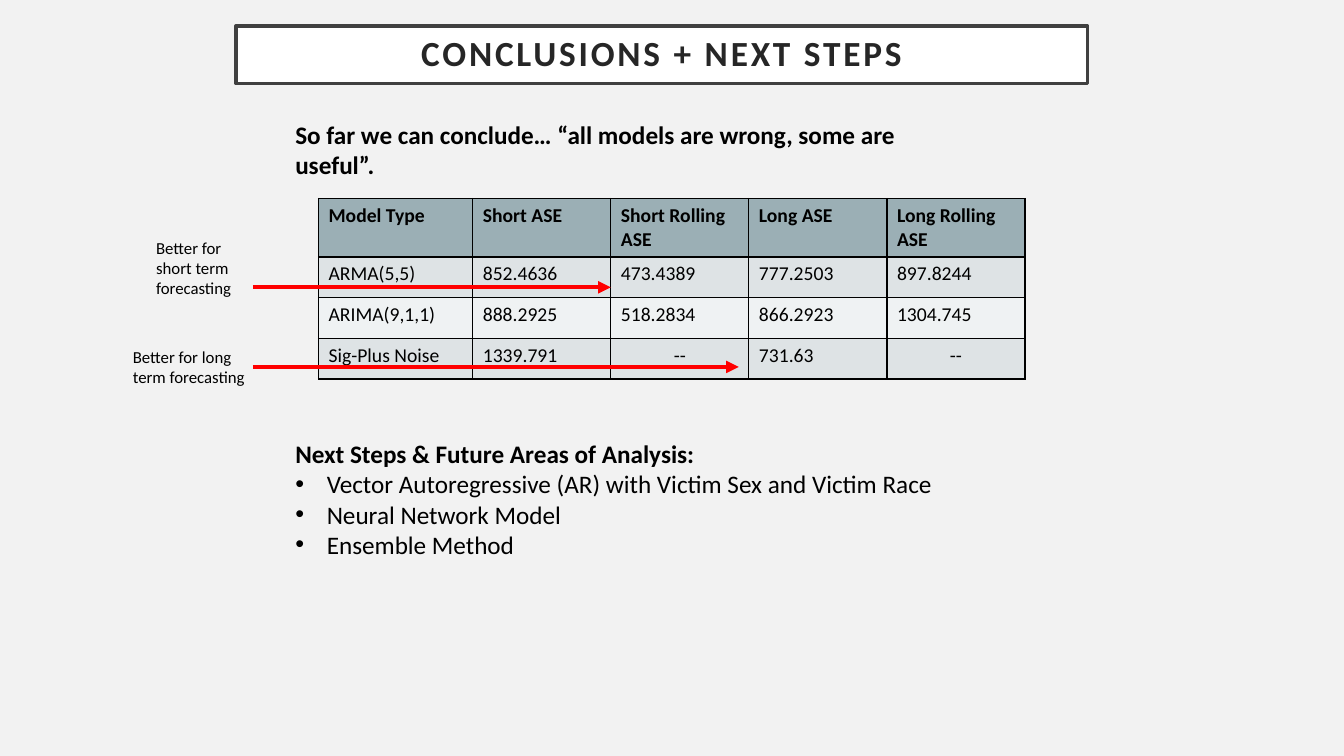
from lxml import etree
from pptx import Presentation
from pptx.dml.color import RGBColor
from pptx.enum import shapes, text
from pptx.oxml import ns
from pptx.util import Pt

COLORS = {
    "page": "F2F2F2", "white": "FFFFFF", "frame": "404040", "title": "262626",
    "black": "000000", "head": "9BAFB5", "odd": "DEE3E5", "even": "EFF2F3", "arrow": "FF0000",
}
FONT = "Calibri"
RESULTS = [
    ["Model Type", "Short ASE", "Short Rolling ASE", "Long ASE", "Long Rolling ASE"],
    ["ARMA(5,5)", "852.4636", "473.4389", "777.2503", "897.8244"],
    ["ARIMA(9,1,1)", "888.2925", "518.2834", "866.2923", "1304.745"],
    ["Sig-Plus Noise", "1339.791", "--", "731.63", "--"],
]
NEXT_STEPS = [
    "Vector Autoregressive (AR) with Victim Sex and Victim Race",
    "Neural Network Model",
    "Ensemble Method",
]


def color(name):
    """Return the named colour."""
    return RGBColor.from_string(COLORS[name])


def add_element(parent, tag, **attributes):
    """Append a drawing element with the given attributes."""
    return etree.SubElement(parent, ns.qn(tag), attributes)


def write(para, words, size, bold=False, ink="black"):
    """Put styled words in a paragraph and return the run."""
    span = para.add_run()
    span.text = words
    para.font.name, para.font.size, para.font.bold = FONT, Pt(size), bold
    para.font.color.rgb = color(ink)
    span.font.name, span.font.size, span.font.bold = FONT, Pt(size), bold
    span.font.color.rgb = color(ink)
    return span


def add_title(page, left, top, width, height):
    """Draw the framed slide title."""
    box = page.shapes.add_shape(
        shapes.MSO_SHAPE.RECTANGLE, Pt(left), Pt(top), Pt(width), Pt(height))
    box.shadow.inherit = False
    box.fill.solid()
    box.fill.fore_color.rgb = color("white")
    box.line.color.rgb = color("frame")
    box.line.width = Pt(2.5)
    frame = box.text_frame
    frame.word_wrap = True
    frame.vertical_anchor = text.MSO_ANCHOR.MIDDLE
    frame.margin_left = frame.margin_right = Pt(14.4)
    frame.margin_top = frame.margin_bottom = Pt(14.4)
    para = frame.paragraphs[0]
    para.alignment = text.PP_ALIGN.CENTER
    para.line_spacing = 0.9
    span = write(para, "CONCLUSIONS + NEXT STEPS", 25.2, True, "title")
    span.font._element.set("spc", "200")


def add_text(page, left, top, width, height, words, size, bold=False):
    """Add a wrapping text box and return its frame."""
    box = page.shapes.add_textbox(Pt(left), Pt(top), Pt(width), Pt(height))
    frame = box.text_frame
    frame.word_wrap = True
    write(frame.paragraphs[0], words, size, bold)
    return frame


def add_next_steps(page, left, top, width, height):
    """Add the heading and bulleted list of next steps."""
    frame = add_text(page, left, top, width, height,
                     "Next Steps & Future Areas of Analysis:", 18, True)
    for step in NEXT_STEPS:
        para = frame.add_paragraph()
        write(para, step, 18)
        properties = para._p.get_or_add_pPr()
        properties.set("marL", str(Pt(22.5)))
        properties.set("indent", str(-Pt(22.5)))
        bullet_font = etree.Element(ns.qn("a:buFont"), typeface="Arial")
        bullet = etree.Element(ns.qn("a:buChar"), char="•")
        properties.insert(0, bullet_font)
        properties.insert(1, bullet)


def style_cell(cell, words, fill, bold):
    """Fill, border and write one table cell."""
    para = cell.text_frame.paragraphs[0]
    write(para, words, 14, bold)
    if words == "--":
        para.alignment = text.PP_ALIGN.CENTER
    properties = cell._tc.get_or_add_tcPr()
    for side in ("a:lnL", "a:lnR", "a:lnT", "a:lnB"):
        border = add_element(properties, side, w=str(Pt(1)))
        paint = add_element(border, "a:solidFill")
        add_element(paint, "a:srgbClr", val=COLORS["black"])
    cell.fill.solid()
    cell.fill.fore_color.rgb = color(fill)


def add_results(page, left, top, width, height):
    """Add the table of model errors."""
    head_height, first_width = 41.8, 110.2
    rows, columns = len(RESULTS), len(RESULTS[0])
    table = page.shapes.add_table(
        rows, columns, Pt(left), Pt(top), Pt(width), Pt(height)).table
    for index, column in enumerate(table.columns):
        column.width = Pt((width - first_width) / (columns - 1) if index else first_width)
    for index, values in enumerate(RESULTS):
        table.rows[index].height = Pt(
            (height - head_height) / (rows - 1) if index else head_height)
        fill = ("odd" if index % 2 else "even") if index else "head"
        for column, words in enumerate(values):
            style_cell(table.cell(index, column), words, fill, index == 0)


def add_arrow(page, left, top, length):
    """Draw a horizontal arrow pointing right."""
    arrow = page.shapes.add_connector(
        shapes.MSO_CONNECTOR.STRAIGHT, Pt(left), Pt(top), Pt(left + length), Pt(top))
    arrow.line.color.rgb = color("arrow")
    arrow.line.width = Pt(3)
    add_element(arrow.line._get_or_add_ln(), "a:tailEnd", type="triangle")
    add_element(arrow._element.spPr, "a:effectLst")


def main():
    """Build and save the conclusions slide."""
    deck = Presentation()
    deck.slide_width, deck.slide_height = Pt(960), Pt(540)
    page = deck.slides.add_slide(deck.slide_layouts[6])
    page.background.fill.solid()
    page.background.fill.fore_color.rgb = color("page")
    add_title(page, 168.5, 18.7, 608.4, 41)
    add_results(page, 227.5, 141.8, 504.7, 129)
    add_arrow(page, 180.7, 262.1, 347)
    add_arrow(page, 180.7, 205.2, 255.6)
    add_next_steps(page, 203.8, 309.6, 504.7, 94.3)
    add_text(page, 203.8, 81.4, 496.1, 51.1,
             "So far we can conclude… “all models are wrong, some are useful”.", 18, True)
    add_text(page, 104.4, 166.3, 87.1, 51.1, "Better for short term forecasting", 12)
    add_text(page, 87.8, 244.1, 102.2, 36, "Better for long term forecasting", 12)
    deck.save("out.pptx")


if __name__ == "__main__":
    main()
